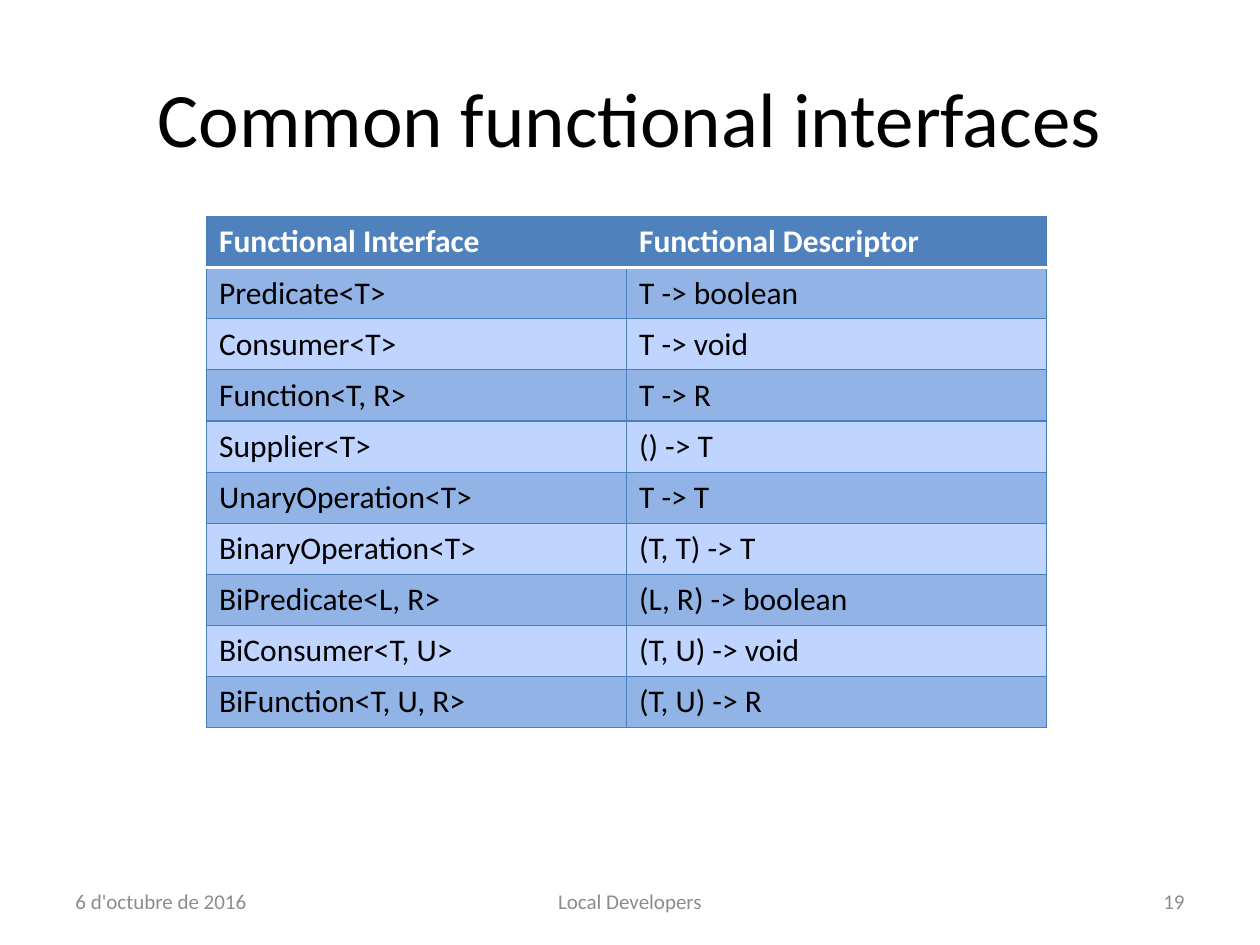
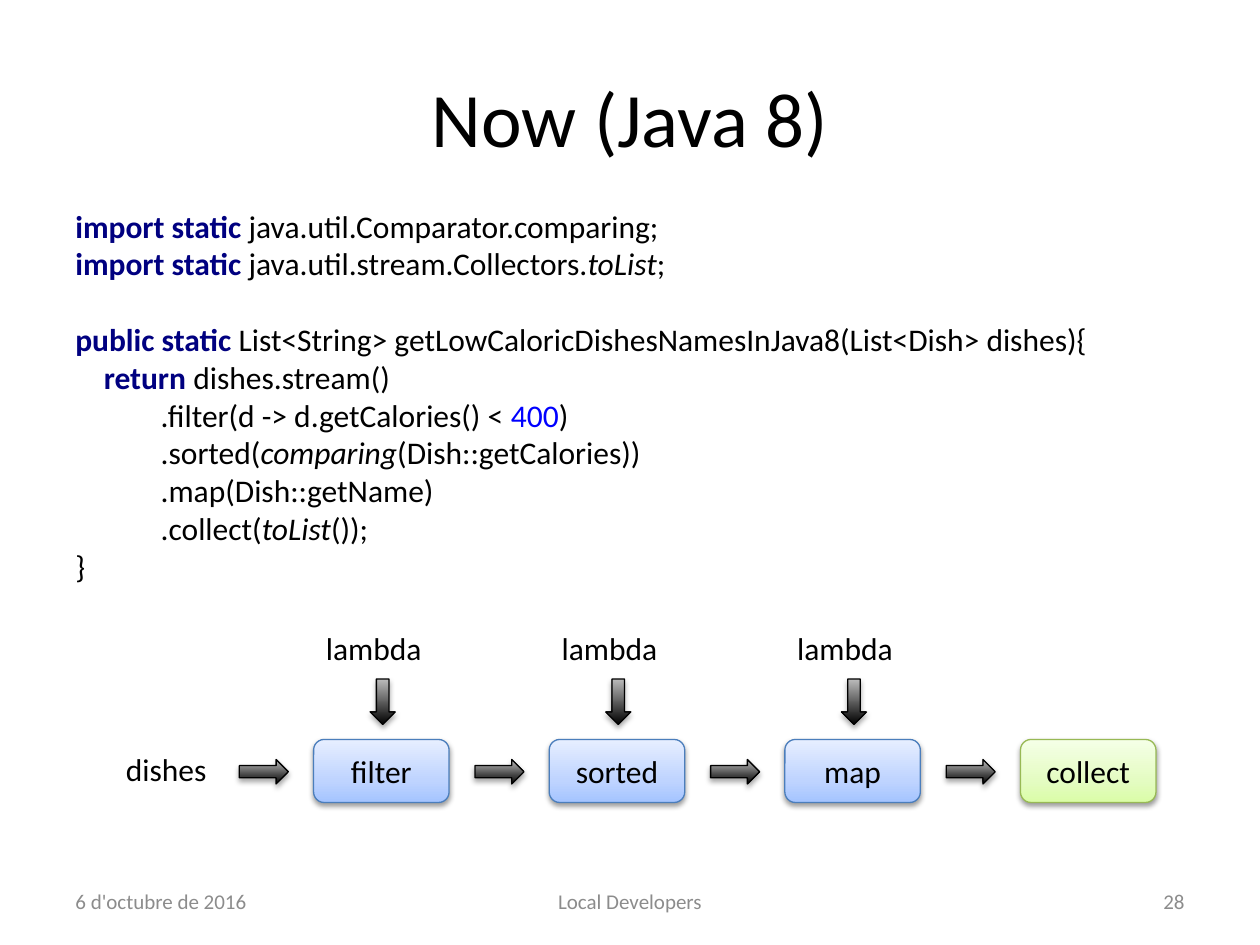
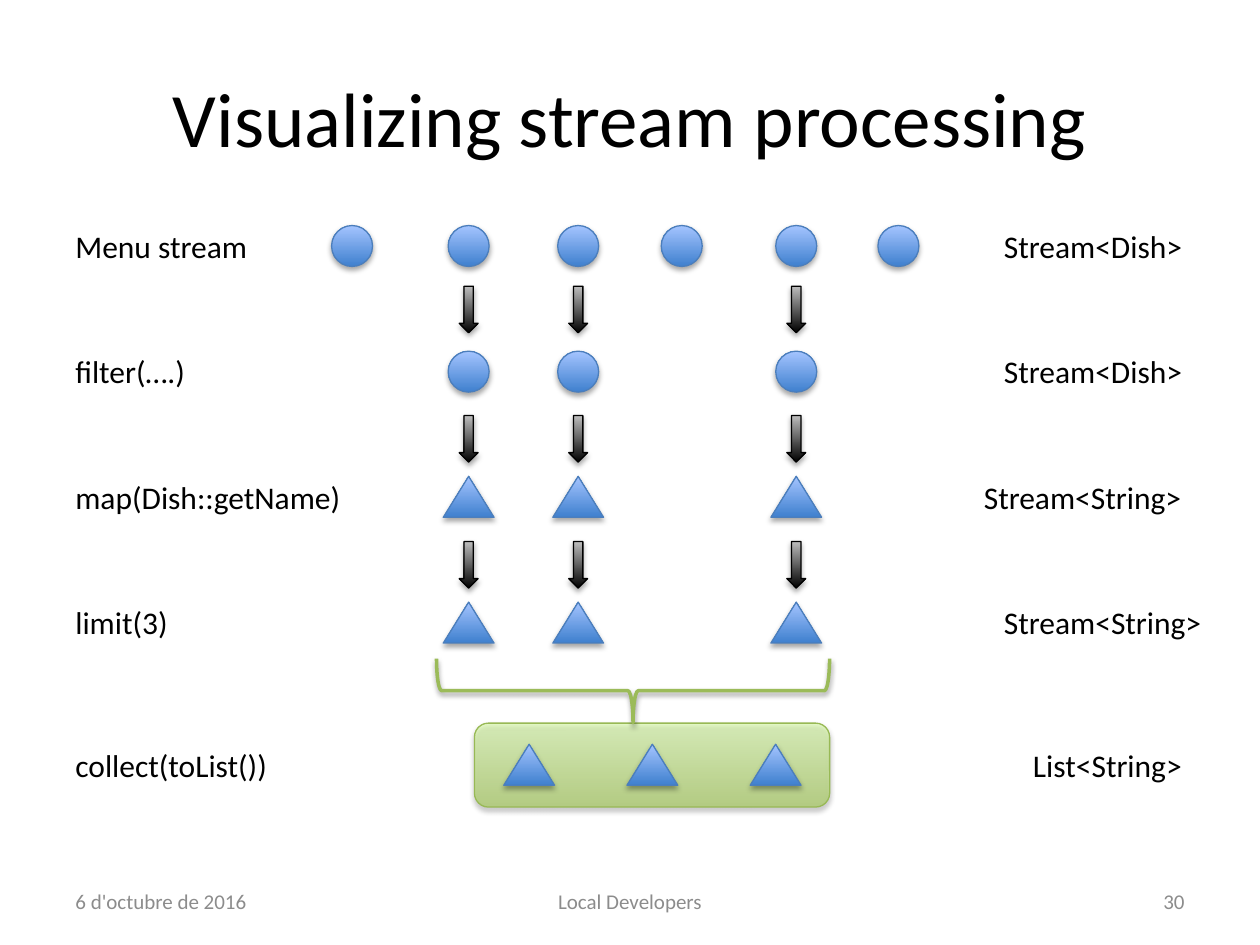
from dataclasses import dataclass
from typing import NamedTuple

from lxml import etree
from pptx import Presentation
from pptx.dml import color as dml
from pptx.enum import shapes as kinds, text as txt
from pptx.oxml import ns
from pptx.util import Pt

Kind = kinds.MSO_SHAPE
Align = txt.PP_ALIGN
Anchor = txt.MSO_ANCHOR


# Shared look
class Stop(NamedTuple):
    pos: int
    color: str
    alpha: int = 100


class Shade(NamedTuple):
    alpha: int
    drop: float
    blur: float = 3.1


LIGHT = Shade(38, 1.6)
STRONG = Shade(35, 1.8)


class Look(NamedTuple):
    stops: tuple[Stop, ...]
    line: str
    shade: Shade


@dataclass(frozen=True)
class Theme:
    font: str = "Calibri"
    big: int = 44
    body: int = 18
    small: int = 12
    black: str = "000000"
    white: str = "FFFFFF"
    gray: str = "8C8C8C"
    blue: str = "4F81BD"
    edge: str = "4B7EBC"
    dark: str = "92B3E5"
    pale: str = "BFD4FF"
    navy: str = "000080"
    digit: str = "0000FF"
    green: str = "9BBB59"
    thin: float = 0.75
    thick: float = 2


T = Theme()
ARROW = Look((Stop(0, T.black), Stop(100, "BDBDBD")), T.black, STRONG)
ITEM = Look((Stop(0, "3F80CE"), Stop(100, "A4C4FF")), T.edge, STRONG)
STEP = Look((Stop(0, "A4C4FF"), Stop(35, T.pale), Stop(100, "E6EEFF")), T.edge, LIGHT)
LAST = Look((Stop(0, "DAFDA7"), Stop(35, "E4FCC2"), Stop(100, "F5FFE7")), "98B955", LIGHT)
TRAY = Look((Stop(0, "A0CA4A", 56), Stop(100, "DAFFA5", 56)), "98B955", STRONG)


class Box(NamedTuple):
    x: float
    y: float
    w: float
    h: float


class Run(NamedTuple):
    text: str
    color: str = T.black
    bold: bool = False
    slant: bool = False


class Line(NamedTuple):
    runs: tuple[Run, ...]
    depth: int = 0
    gap: float = 0


# Drawing helpers
def rgb(color: str) -> dml.RGBColor:
    return dml.RGBColor.from_string(color)


def node(parent, tag: str, **attrs):
    return etree.SubElement(parent, ns.qn(tag), {k: str(v) for k, v in attrs.items()})


def tint(parent, color: str, alpha: int = 100) -> None:
    mark = node(parent, "a:srgbClr", val=color)
    if alpha < 100:
        node(mark, "a:alpha", val=alpha * 1000)


def lengths(box: Box) -> list:
    return [Pt(n) for n in box]


def write(para, run: Run, size: float = T.body) -> None:
    part = para.add_run()
    part.text = run.text
    font = part.font
    font.name, font.size = T.font, Pt(size)
    font.bold, font.italic = run.bold, run.slant
    font.color.rgb = rgb(run.color)


def label(slide, box: Box, text: str, color: str = T.black, size: float = T.body,
          align=Align.LEFT, anchor=Anchor.TOP, wrap: bool = False) -> None:
    frame = slide.shapes.add_textbox(*lengths(box)).text_frame
    frame.word_wrap = wrap
    frame.vertical_anchor = anchor
    para = frame.paragraphs[0]
    para.alignment = align
    write(para, Run(text, color), size)


def cast(shape, shade: Shade) -> None:
    shape.shadow.inherit = False
    glow = shape.element.spPr.find(ns.qn("a:effectLst"))
    outer = node(glow, "a:outerShdw", blurRad=Pt(shade.blur), dist=Pt(shade.drop),
                 dir=5400000, rotWithShape=0)
    tint(outer, T.black, shade.alpha)


def draw(slide, kind, box: Box, look: Look, text: str = "") -> None:
    shape = slide.shapes.add_shape(kind, *lengths(box))
    shape.fill.gradient()
    shape.fill.gradient_angle = 90
    stops = shape.element.spPr.find(".//" + ns.qn("a:gsLst"))
    for old in list(stops):
        stops.remove(old)
    for stop in look.stops:
        tint(node(stops, "a:gs", pos=stop.pos * 1000), stop.color, stop.alpha)
    shape.line.color.rgb = rgb(look.line)
    shape.line.width = Pt(T.thin)
    cast(shape, look.shade)
    if text:
        para = shape.text_frame.paragraphs[0]
        para.alignment = Align.CENTER
        shape.text_frame.vertical_anchor = Anchor.MIDDLE
        write(para, Run(text))


def center(slide, kind, x: float, y: float, w: float, h: float, look: Look) -> None:
    draw(slide, kind, Box(x - w / 2, y - h / 2, w, h), look)


def start(deck, title: str, page: int):
    slide = deck.slides.add_slide(deck.slide_layouts[5])
    head = slide.shapes.title
    head.left, head.top, head.width, head.height = lengths(Box(36, 21.6, 648, 90))
    head.text_frame.vertical_anchor = Anchor.MIDDLE
    para = head.text_frame.paragraphs[0]
    para.alignment = Align.CENTER
    write(para, Run(title), T.big)
    for x, w, text, align in (
        (36, 168, "6 d'octubre de 2016", Align.LEFT),
        (246, 228, "Local Developers", Align.CENTER),
        (516, 168, str(page), Align.RIGHT),
    ):
        label(slide, Box(x, 500.5, w, 28.75), text, T.gray, T.small, align, Anchor.MIDDLE, True)
    return slide


# Slide: table of interfaces
ROWS = (
    ("Functional Interface", "Functional Descriptor"),
    ("Predicate<T>", "T -> boolean"),
    ("Consumer<T>", "T -> void"),
    ("Function<T, R>", "T -> R"),
    ("Supplier<T>", "() -> T"),
    ("UnaryOperation<T>", "T -> T"),
    ("BinaryOperation<T>", "(T, T) -> T"),
    ("BiPredicate<L, R>", "(L, R) -> boolean"),
    ("BiConsumer<T, U>", "(T, U) -> void"),
    ("BiFunction<T, U, R>", "(T, U) -> R"),
)


def border(cell, row: int) -> None:
    props = cell._tc.get_or_add_tcPr()
    for place, side in enumerate("LRTB"):
        rule = (row, side) in ((0, "B"), (1, "T"))
        edge = node(props, "a:ln" + side, w=Pt(T.thick if rule else T.thin))
        tint(node(edge, "a:solidFill"), T.white if rule else T.edge)
        props.insert(place, edge)


def faces(deck) -> None:
    slide = start(deck, "Common functional interfaces", 19)
    high = 29.2
    frame = slide.shapes.add_table(
        len(ROWS), 2, *lengths(Box(118, 123.8, 480, high * len(ROWS))))
    grid = frame.table
    for r, words in enumerate(ROWS):
        grid.rows[r].height = Pt(high)
        for c, word in enumerate(words):
            cell = grid.cell(r, c)
            cell.fill.solid()
            cell.fill.fore_color.rgb = rgb(T.blue if r == 0 else T.dark if r % 2 else T.pale)
            border(cell, r)
            write(cell.text_frame.paragraphs[0],
                  Run(word, T.black if r else T.white, bold=r == 0))


# Slide: code and its pipeline
def key(text: str) -> Run:
    return Run(text, T.navy, bold=True)


def call(text: str) -> Run:
    return Run(text, slant=True)


CODE = (
    Line((key("import static "), Run("java.util.Comparator.comparing;"))),
    Line((key("import static "), Run("java.util.stream.Collectors."), call("toList"), Run(";"))),
    Line((key("public static "),
          Run("List<String> getLowCaloricDishesNamesInJava8(List<Dish> dishes){")), gap=21.6),
    Line((key("return "), Run("dishes.stream()")), 1),
    Line((Run(".filter(d -> d.getCalories() < "), Run("400", T.digit), Run(")")), 3),
    Line((Run(".sorted("), call("comparing"), Run("(Dish::getCalories))")), 3),
    Line((Run(".map(Dish::getName)"),), 3),
    Line((Run(".collect("), call("toList"), Run("());")), 3),
    Line((Run("}"),)),
)
INDENT = 16.25


def code(slide) -> None:
    frame = slide.shapes.add_textbox(*lengths(Box(36, 114.5, 648, 225.4))).text_frame
    frame.word_wrap = True
    for i, line in enumerate(CODE):
        para = frame.add_paragraph() if i else frame.paragraphs[0]
        para.space_before = Pt(line.gap)
        para._p.get_or_add_pPr().set("marL", str(Pt(INDENT * line.depth)))
        for run in line.runs:
            write(para, run)


def now(deck) -> None:
    slide = start(deck, "Now (Java 8)", 28)
    code(slide)
    label(slide, Box(64.8, 424.8, 61.2, 28.8), "dishes")
    names = ("filter", "sorted", "map", "collect")
    for i, name in enumerate(names):
        x = 179.2 + 134.65 * i
        final = i == len(names) - 1
        draw(slide, Kind.RIGHT_ARROW, Box(x - 42.4, 434, 28, 14), ARROW)
        draw(slide, Kind.ROUNDED_RECTANGLE, Box(x, 422.6, 77.4, 36),
             LAST if final else STEP, name)
        if not final:
            label(slide, Box(x, 355.7, 69.8, 28.8), "lambda")
            draw(slide, Kind.DOWN_ARROW, Box(x + 32.3, 388, 14.4, 26), ARROW)


# Slide: stages of a stream
class Stage(NamedTuple):
    mid: float
    name: str
    width: float
    kind: str
    left: float
    span: float


STAGES = (
    Stage(140.6, "Menu stream", 114.5, "Stream<Dish>", 566.6, 117.4),
    Stage(212.4, "filter(….)", 77.8, "Stream<Dish>", 566.6, 117.4),
    Stage(283.9, "map(Dish::getName)", 167.8, "Stream<String>", 555.1, 128.9),
    Stage(355.8, "limit(3)", 67.7, "Stream<String>", 566.6, 128.9),
    Stage(437, "collect(toList())", 126, "List<String>", 583.2, 100.8),
)
COLS = (201.2, 267.8, 330.4, 389.6, 455, 513.4)
KEPT = (COLS[1], COLS[2], COLS[4])
DOT = 23.4
WEDGE = 29


def stream(deck) -> None:
    slide = start(deck, "Visualizing stream processing", 30)
    for stage in STAGES:
        top = stage.mid - 14.5
        label(slide, Box(36, top, stage.width, 28.8), stage.name)
        label(slide, Box(stage.left, top, stage.span, 28.8), stage.kind)

    # Items that pass each stage
    for i, stage in enumerate(STAGES[:4]):
        kind, wide = (Kind.OVAL, DOT) if i < 2 else (Kind.ISOSCELES_TRIANGLE, WEDGE)
        for x in KEPT if i else COLS:
            center(slide, kind, x, stage.mid, wide, DOT, ITEM)

    # Collected list
    draw(slide, Kind.ROUNDED_RECTANGLE, Box(271.1, 413.2, 203, 48), TRAY)
    for i in range(3):
        center(slide, Kind.ISOSCELES_TRIANGLE, 302.4 + 70.4 * i, STAGES[4].mid, WEDGE, DOT, ITEM)

    # Arrows between stages
    for y in (176.9, 250.8, 322.8):
        for x in KEPT:
            center(slide, Kind.DOWN_ARROW, x, y, 10.8, 26.6, ARROW)

    # Brace over the list
    brace = slide.shapes.add_shape(Kind.LEFT_BRACE, *lengths(Box(343.4, 282.4, 36.7, 224.6)))
    brace.rotation = 270
    brace.adjustments[0], brace.adjustments[1] = 0.08, 0.5
    brace.fill.background()
    brace.line.color.rgb = rgb(T.green)
    brace.line.width = Pt(T.thick)
    cast(brace, LIGHT)


def main() -> None:
    deck = Presentation()
    deck.slide_width, deck.slide_height = Pt(720), Pt(540)
    for build in (faces, now, stream):
        build(deck)
    deck.save("out.pptx")


if __name__ == "__main__":
    main()
